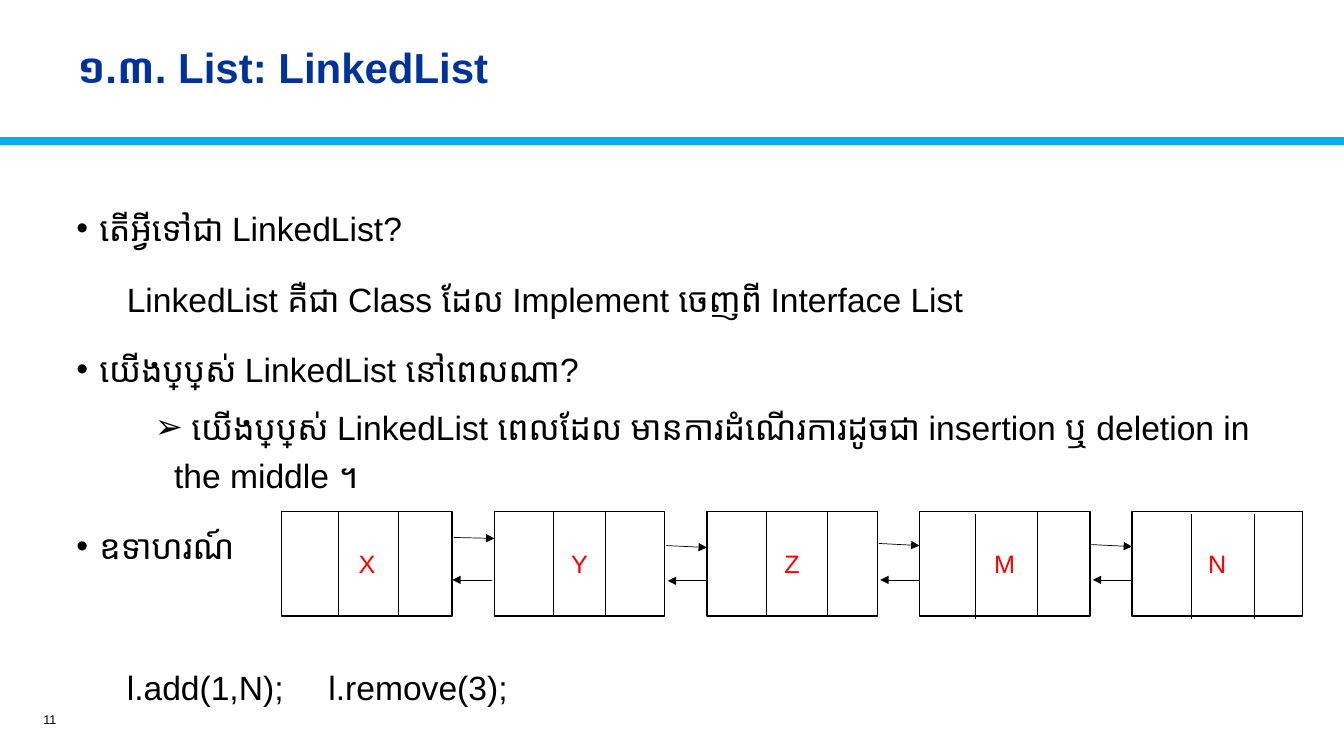
from dataclasses import dataclass
from lxml.etree import SubElement
from pptx import Presentation
from pptx.dml.color import RGBColor
from pptx.enum.shapes import MSO_CONNECTOR, MSO_SHAPE
from pptx.enum.text import MSO_ANCHOR, MSO_AUTO_SIZE, PP_ALIGN
from pptx.oxml.ns import qn
from pptx.util import Pt


@dataclass(frozen=True)
class Theme:
    font: str = "Arial"
    ink: RGBColor = RGBColor(0, 0, 0)
    paper: RGBColor = RGBColor(255, 255, 255)
    heading: RGBColor = RGBColor(0x00, 0x33, 0x99)
    rule: RGBColor = RGBColor(0x00, 0xB0, 0xEA)
    label: RGBColor = RGBColor(0xFF, 0, 0)
    heading_size: float = 30
    body_size: float = 24
    label_size: float = 18
    number_size: float = 9
    line_pitch: float = 34
    node_line: float = 1
    link_line: float = 0.5


THEME = Theme()

TOPIC, ANSWER, DETAIL, CODE = "topic", "answer", "detail", "code"
PARAGRAPH_STYLES = {
    TOPIC: dict(bullet="•", margin=16.5, indent=-16.5, before=16.5, tabs=()),
    ANSWER: dict(bullet=None, margin=0, indent=0, before=16.5, tabs=(54,)),
    DETAIL: dict(bullet="➢", margin=69.8, indent=-13.7, before=7.5, tabs=()),
    CODE: dict(bullet=None, margin=0, indent=0, before=67, tabs=(162, 324)),
}
POINTS = [
    (TOPIC, "តើអ្វីទៅជា LinkedList?"),
    (ANSWER, "\tLinkedList គឺជា Class ដែល Implement ចេញពី Interface List"),
    (TOPIC, "យើងប្រើប្រាស់ LinkedList នៅពេលណា?"),
    (DETAIL, " យើងប្រើប្រាស់ LinkedList ពេលដែល មានការដំណើរការដូចជា "
             "insertion ឬ deletion in the middle ។"),
    (TOPIC, "ឧទាហរណ៍"),
    (CODE, "\tl.add(1,N);\tl.remove(3);"),
]
NODES = [
    ("X", [(40.3, 0), (83.5, 0)]),
    ("Y", [(41.8, 0), (79.2, 0)]),
    ("Z", [(42.5, 0), (85.7, 0)]),
    ("M", [(39.6, 2.2), (84.2, 0)]),
    ("N", [(42.5, 2.2), (87.1, 2.2)]),
]
NEXT_LINKS = [(18.7, 19.4), (24.5, 25.9), (23, 24.5), (23.8, 25.2)]
PREVIOUS_LINKS = [(-2, 49), (0, 49.7), (0, 49), (0, 49)]


def format_text(paragraph, size, color, bold=False):
    for run in paragraph.runs:
        run.font.name = THEME.font
        run.font.size = Pt(size)
        run.font.color.rgb = color
        run.font.bold = bold


def set_bullet_and_tabs(paragraph, style):
    properties = paragraph._p.get_or_add_pPr()
    properties.set("marL", str(Pt(style["margin"])))
    properties.set("indent", str(Pt(style["indent"])))
    if style["bullet"]:
        bullet_color = SubElement(properties, qn("a:buClr"))
        SubElement(bullet_color, qn("a:srgbClr"), val=str(THEME.ink))
        SubElement(properties, qn("a:buFont"), typeface=THEME.font)
        SubElement(properties, qn("a:buChar"), char=style["bullet"])
    else:
        SubElement(properties, qn("a:buNone"))
    if style["tabs"]:
        stops = SubElement(properties, qn("a:tabLst"))
        for stop in style["tabs"]:
            SubElement(stops, qn("a:tab"), pos=str(Pt(stop)), algn="l")


def add_line(slide, start, end, color, width, arrow=False):
    line = slide.shapes.add_connector(
        MSO_CONNECTOR.STRAIGHT, *(Pt(value) for value in (*start, *end)))
    line.line.color.rgb = color
    line.line.width = Pt(width)
    if arrow:
        SubElement(line.line._get_or_add_ln(), qn("a:tailEnd"), type="triangle")
    SubElement(line._element.spPr, qn("a:effectLst"))


def add_heading(slide, left, top, width, height):
    heading = slide.shapes.title
    heading.left, heading.top = Pt(left), Pt(top)
    heading.width, heading.height = Pt(width), Pt(height)
    frame = heading.text_frame
    frame.text = "១.៣. List: LinkedList"
    frame.auto_size = MSO_AUTO_SIZE.NONE
    frame.word_wrap = True
    frame.vertical_anchor = MSO_ANCHOR.MIDDLE
    paragraph = frame.paragraphs[0]
    paragraph.alignment = PP_ALIGN.LEFT
    paragraph.line_spacing = 0.9
    format_text(paragraph, THEME.heading_size, THEME.heading, bold=True)


def add_page_number(slide, left, top, width, height):
    number = slide.shapes.add_textbox(Pt(left), Pt(top), Pt(width), Pt(height))
    frame = number.text_frame
    frame.text = "11"
    frame.word_wrap = True
    frame.vertical_anchor = MSO_ANCHOR.MIDDLE
    frame.paragraphs[0].alignment = PP_ALIGN.RIGHT
    format_text(frame.paragraphs[0], THEME.number_size, THEME.ink)


def add_points(slide, left, top, width, height):
    body = slide.shapes.add_textbox(Pt(left), Pt(top), Pt(width), Pt(height))
    frame = body.text_frame
    frame.word_wrap = True
    for index, (kind, text) in enumerate(POINTS):
        style = PARAGRAPH_STYLES[kind]
        paragraph = frame.add_paragraph() if index else frame.paragraphs[0]
        paragraph.text = text
        set_bullet_and_tabs(paragraph, style)
        paragraph.level = 3 if kind == DETAIL else 0
        paragraph.line_spacing = Pt(THEME.line_pitch)
        paragraph.space_before = Pt(style["before"] if index else 0)
        format_text(paragraph, THEME.body_size, THEME.ink)


def add_node(slide, left, top, width, height, label, dividers):
    node = slide.shapes.add_shape(
        MSO_SHAPE.RECTANGLE, Pt(left), Pt(top), Pt(width), Pt(height))
    node.shadow.inherit = False
    node.fill.solid()
    node.fill.fore_color.rgb = THEME.paper
    node.line.color.rgb = THEME.ink
    node.line.width = Pt(THEME.node_line)
    frame = node.text_frame
    frame.text = label
    frame.vertical_anchor = MSO_ANCHOR.MIDDLE
    frame.paragraphs[0].alignment = PP_ALIGN.CENTER
    format_text(frame.paragraphs[0], THEME.label_size, THEME.label)
    for offset, drop in dividers:
        x = left + offset
        add_line(slide, (x, top + drop), (x, top + height + drop),
                 THEME.ink, THEME.link_line)


def add_linked_list(slide, left, top, width, height):
    node_width = 121.7
    pitch = (width - node_width) / (len(NODES) - 1)
    for index, (label, dividers) in enumerate(NODES):
        add_node(slide, left + index * pitch, top, node_width, height, label, dividers)
    links = zip(NEXT_LINKS, PREVIOUS_LINKS)
    for index, ((leave, arrive), (shift, back)) in enumerate(links, start=1):
        edge = left + index * pitch
        add_line(slide, (edge - 29, top + leave), (edge, top + arrive),
                 THEME.ink, THEME.link_line, arrow=True)
        add_line(slide, (edge + shift, top + back), (edge + shift - 28, top + back),
                 THEME.ink, THEME.link_line, arrow=True)


def add_linked_list_slide(deck):
    slide = deck.slides.add_slide(deck.slide_layouts[5])
    add_line(slide, (0, 100.8), (960, 100.8), THEME.rule, 6)
    add_heading(slide, 48, 10, 865.5, 80)
    add_page_number(slide, 6.5, 503.5, 41, 21.5)
    add_points(slide, 47.5, 139.7, 880.5, 386)
    add_linked_list(slide, 201.3, 365.2, 729, 75)


def main():
    deck = Presentation()
    deck.slide_width, deck.slide_height = Pt(960), Pt(540)
    add_linked_list_slide(deck)
    deck.save("out.pptx")


if __name__ == "__main__":
    main()
